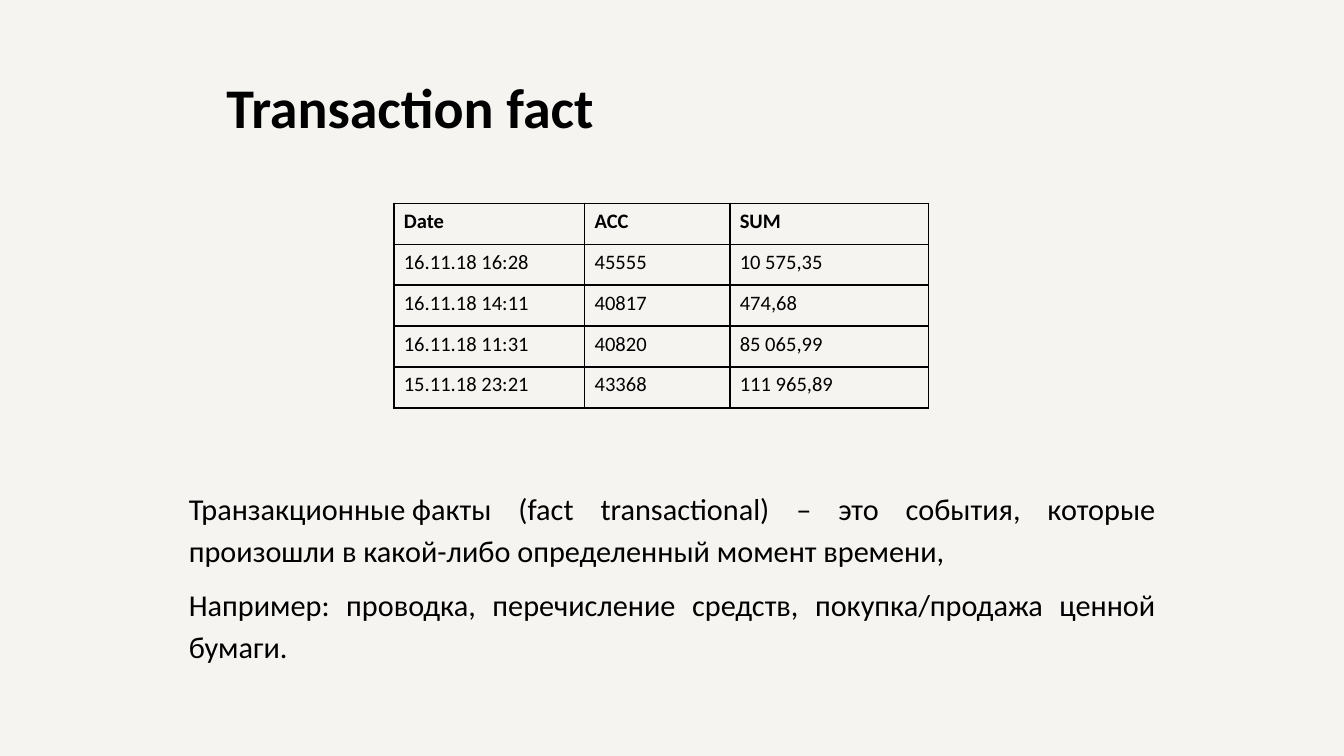
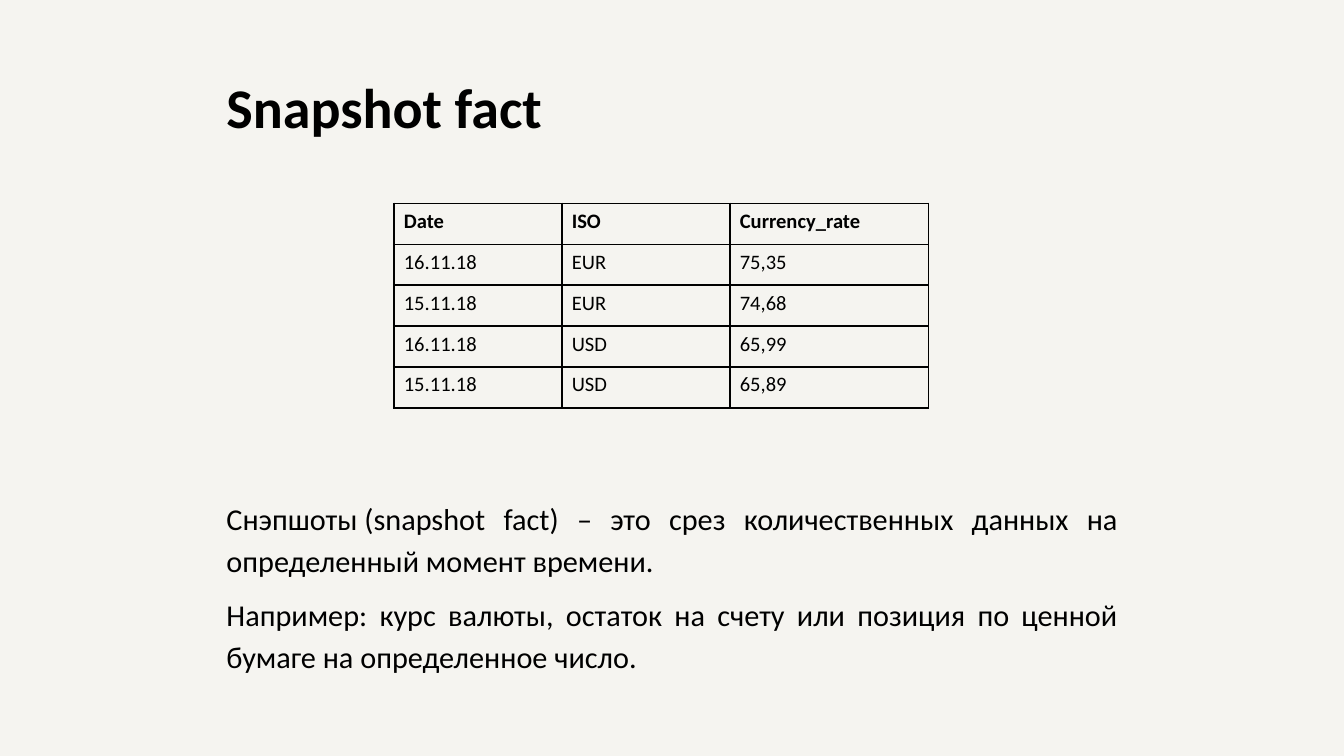
from dataclasses import dataclass

import lxml.etree
import pptx
import pptx.dml.color
import pptx.enum.text
import pptx.oxml.ns
import pptx.util

# Grid: 100 columns across the slide, 56.25 rows down, each a tenth of an inch
STEP = 0.1
COLS, ROWS = 100, 56.25

INK, PAPER = "000000", "F5F4F0"
EDGE = 1
FACE = "Calibri"
TITLE_FONT = dict(name=FACE, size=pptx.util.Pt(30), bold=True)
BODY_FONT = dict(name=FACE, size=pptx.util.Pt(16.2), bold=False)
CELL_FONT = dict(name=FACE, size=pptx.util.Pt(11), bold=False)
HEAD_FONT = {**CELL_FONT, "bold": True}

MARGIN = 15.85
TABLE_LEFT, TABLE_TOP, ROW_HEIGHT = 29.3, 15.14, 3.04
BODY_HEIGHT = 15.1
TIE, HARD_SPACE = "~", chr(160)  # a tie in the notes keeps two words together


@dataclass(frozen=True)
class Fact:
    title: str
    widths: tuple[float, ...]
    rows: tuple[tuple[str, ...], ...]
    margin: float
    top: float
    notes: tuple[str, ...]


FACTS = (
    Fact(
        "Transaction fact",
        (14.2, 10.8, 14.8),
        (
            ("Date", "ACC", "SUM"),
            ("16.11.18 16:28", "45555", "10 575,35"),
            ("16.11.18 14:11", "40817", "474,68"),
            ("16.11.18 11:31", "40820", "85 065,99"),
            ("15.11.18 23:21", "43368", "111 965,89"),
        ),
        13.05,
        35.1,
        (
            "Транзакционные~факты (fact transactional) – это события, которые "
            "произошли в какой-либо определенный момент~времени,",
            "Например: проводка, перечисление средств, покупка/продажа ценной бумаги.",
        ),
    ),
    Fact(
        "Snapshot fact",
        (12.5, 12.5, 14.8),
        (
            ("Date", "ISO", "Currency_rate"),
            ("16.11.18", "EUR", "75,35"),
            ("15.11.18", "EUR", "74,68"),
            ("16.11.18", "USD", "65,99"),
            ("15.11.18", "USD", "65,89"),
        ),
        MARGIN,
        35.84,
        (
            "Снэпшоты~(snapshot fact) – это срез количественных данных на "
            "определенный момент времени.",
            "Например: курс валюты, остаток на счету или позиция по ценной "
            "бумаге на определенное число.",
        ),
    ),
)


def grid(count: float) -> int:
    return pptx.util.Inches(count * STEP)


def hue(code: str) -> pptx.dml.color.RGBColor:
    return pptx.dml.color.RGBColor.from_string(code)


def apply(target, values: dict) -> None:
    for key, value in values.items():
        setattr(target, key, value)


def style(font, values: dict) -> None:
    apply(font, values)
    font.color.rgb = hue(INK)


def place(shape, margin: float, top: float, height: float) -> None:
    """Put a placeholder between equal side margins and reset its frame."""
    apply(shape, dict(left=grid(margin), top=grid(top),
                      width=grid(COLS - 2 * margin), height=grid(height)))
    sides = ("left", "right", "top", "bottom")
    apply(shape.text_frame, {f"margin_{side}": grid(1) for side in sides})
    apply(shape.text_frame, dict(
        word_wrap=True, vertical_anchor=pptx.enum.text.MSO_ANCHOR.TOP,
        auto_size=pptx.enum.text.MSO_AUTO_SIZE.NONE))


def add_title(slide, text: str) -> None:
    shape = slide.shapes.title
    place(shape, MARGIN, 4.4, 7.6)
    shape.text_frame.text = text
    par = shape.text_frame.paragraphs[0]
    par.alignment = pptx.enum.text.PP_ALIGN.LEFT
    style(par.font, TITLE_FONT)


def add_body(slide, fact: Fact) -> None:
    shape = slide.placeholders[1]
    place(shape, fact.margin, fact.top, BODY_HEIGHT)
    shape.text_frame.text = "\n".join(fact.notes).replace(TIE, HARD_SPACE)
    for index, par in enumerate(shape.text_frame.paragraphs):
        props = par._p.get_or_add_pPr()
        props.set("marL", "0")
        props.set("indent", "0")
        lxml.etree.SubElement(props, pptx.oxml.ns.qn("a:buNone"))
        apply(par, dict(
            alignment=pptx.enum.text.PP_ALIGN.JUSTIFY, line_spacing=1.15,
            space_before=pptx.util.Pt(6.8 if index else 0)))
        style(par.font, BODY_FONT)


def add_edges(cell) -> None:
    props = cell._tc.get_or_add_tcPr()
    for side in "LRTB":
        line = lxml.etree.SubElement(props, pptx.oxml.ns.qn(f"a:ln{side}"),
                                     w=str(int(pptx.util.Pt(EDGE))))
        fill = lxml.etree.SubElement(line, pptx.oxml.ns.qn("a:solidFill"))
        lxml.etree.SubElement(fill, pptx.oxml.ns.qn("a:srgbClr"), val=INK)


def add_table(slide, fact: Fact) -> None:
    count = len(fact.rows)
    table = slide.shapes.add_table(
        count, len(fact.widths), grid(TABLE_LEFT), grid(TABLE_TOP),
        grid(sum(fact.widths)), grid(ROW_HEIGHT * count)).table
    apply(table, dict(first_row=False, horz_banding=False))
    for column, width in zip(table.columns, fact.widths):
        column.width = grid(width)
    for row, texts in enumerate(fact.rows):
        table.rows[row].height = grid(ROW_HEIGHT)
        for cell, text in zip(table.rows[row].cells, texts):
            cell.text = text
            apply(cell, dict(margin_left=grid(0.75), margin_right=grid(0.75),
                             margin_top=grid(0.4), margin_bottom=grid(0.4)))
            add_edges(cell)
            cell.fill.background()
            style(cell.text_frame.paragraphs[0].font, CELL_FONT if row else HEAD_FONT)


def main() -> None:
    deck = pptx.Presentation()
    apply(deck, dict(slide_width=grid(COLS), slide_height=grid(ROWS)))

    # Shared background
    back = deck.slide_master.background.fill
    back.solid()
    back.fore_color.rgb = hue(PAPER)

    # One slide for each kind of fact
    for fact in FACTS:
        slide = deck.slides.add_slide(deck.slide_layouts[1])
        add_title(slide, fact.title)
        add_body(slide, fact)
        add_table(slide, fact)
    deck.save("out.pptx")


if __name__ == "__main__":
    main()
